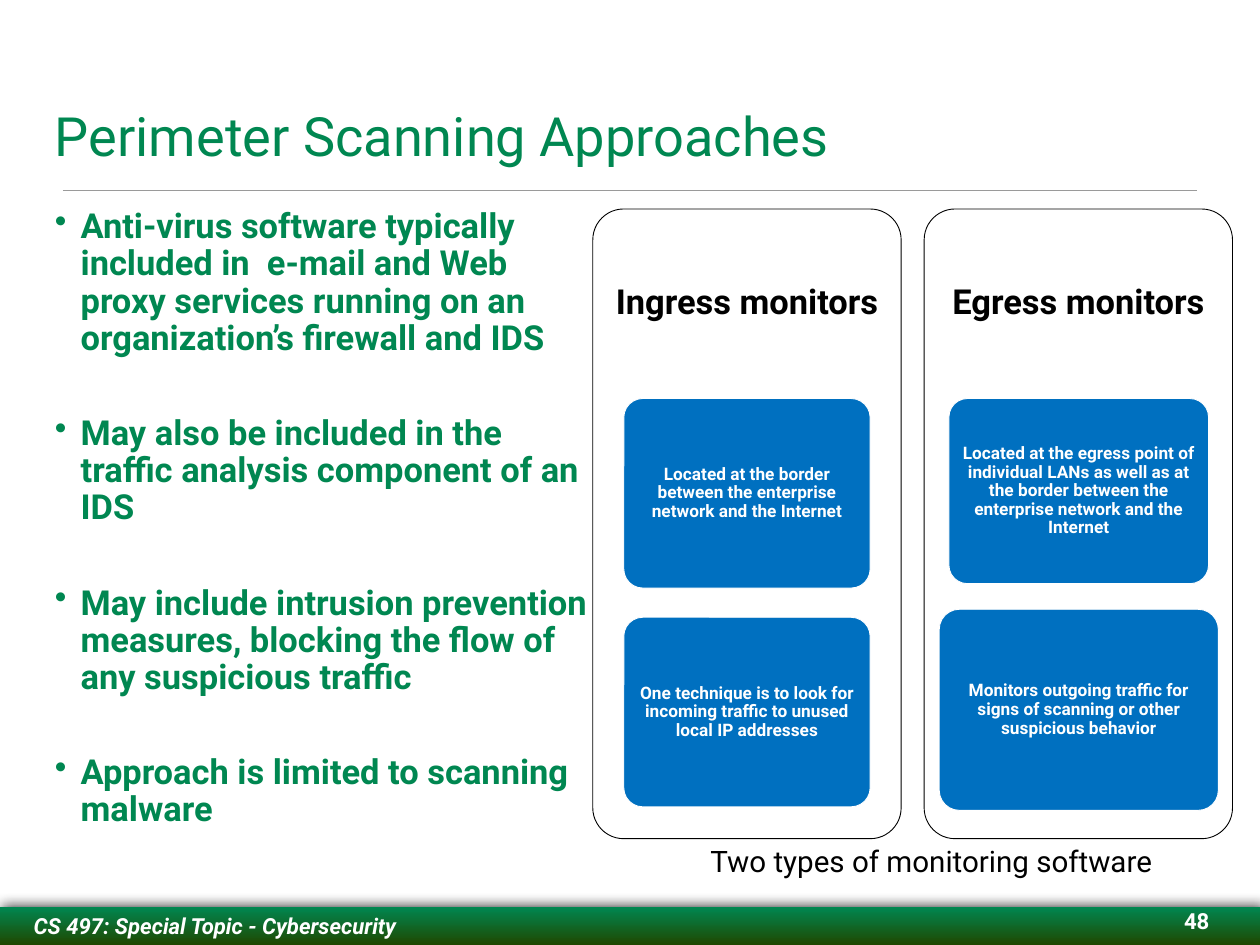
from lxml.etree import SubElement
from pptx import Presentation
from pptx.dml.color import RGBColor
from pptx.enum.shapes import MSO_CONNECTOR, MSO_SHAPE
from pptx.enum.text import MSO_ANCHOR, PP_ALIGN
from pptx.oxml.ns import qn
from pptx.util import Pt

EMU_PER_PX = 9144

BULLETS = [
    "Anti-virus software typically included in  e-mail and Web proxy services "
    "running on an organization’s firewall and IDS",
    "May also be included in the traffic analysis component of an IDS",
    "May include intrusion prevention measures, blocking the flow of any suspicious traffic",
    "Approach is limited to scanning malware",
]

MONITORS = [
    (669, "Ingress monitors", [
        ((704, 450, 278, 214),
         "Located at the border between the enterprise network and the Internet"),
        ((704, 697, 278, 214),
         "One technique is to look for incoming traffic to unused local IP addresses"),
    ]),
    (1043, "Egress monitors", [
        ((1071, 450, 293, 209),
         "Located at the egress point of individual LANs as well as at the border "
         "between the enterprise network and the Internet"),
        ((1060, 688, 315, 227),
         "Monitors outgoing traffic for signs of scanning or other suspicious behavior"),
    ]),
]


def px(length):
    return length * EMU_PER_PX


def color(hex_string):
    return RGBColor.from_string(hex_string)


class SlideBuilder:
    font_name = "Roboto"
    green = "008751"
    dark_green = "1F4800"
    blue = "0070C0"
    gray = "9A9A9A"
    black = "000000"
    white = "FFFFFF"

    def __init__(self, slide):
        self.slide = slide

    def set_text(self, shape, texts, size, text_color, bold=False, italic=False,
                 align=PP_ALIGN.LEFT, anchor=MSO_ANCHOR.TOP, margins=(0, 0, 0, 0), spacing=1.0):
        frame = shape.text_frame
        frame.word_wrap = True
        frame.vertical_anchor = anchor
        frame.margin_left, frame.margin_top, frame.margin_right, frame.margin_bottom = map(px, margins)
        frame.text = "\n".join(texts)
        for paragraph in frame.paragraphs:
            paragraph.alignment = align
            paragraph.line_spacing = spacing
            font = paragraph.font
            font.name = self.font_name
            font.size = Pt(size)
            font.bold = bold
            font.italic = italic
            font.color.rgb = color(text_color)
        return frame

    def text(self, box, texts, size, text_color, **style):
        shape = self.slide.shapes.add_textbox(*map(px, box))
        return self.set_text(shape, texts, size, text_color, **style)

    def bullets(self, box, texts, size, text_color):
        frame = self.text(box, texts, size, text_color, bold=True, spacing=0.9)
        for paragraph in frame.paragraphs:
            paragraph.space_before = Pt(30)
            paragraph.space_after = Pt(17.1)
            properties = paragraph._p.get_or_add_pPr()
            properties.set("marL", str(px(29)))
            properties.set("indent", str(px(-29)))
            bullet = properties.makeelement(qn("a:buChar"), {"char": "•"})
            properties.find(qn("a:defRPr")).addprevious(bullet)

    def rounded(self, box, line_color, fill_color=None):
        shape = self.slide.shapes.add_shape(MSO_SHAPE.ROUNDED_RECTANGLE, *map(px, box))
        shape.shadow.inherit = False
        shape.adjustments[0] = 0.1
        if fill_color:
            shape.fill.solid()
            shape.fill.fore_color.rgb = color(fill_color)
        else:
            shape.fill.background()
        shape.line.color.rgb = color(line_color)
        shape.line.width = Pt(0.75)
        return shape

    def card(self, box, text):
        shape = self.rounded(box, self.white, self.blue)
        self.set_text(shape, [text], 14, self.white, bold=True, align=PP_ALIGN.CENTER,
                      anchor=MSO_ANCHOR.MIDDLE, margins=(4, 3, 4, 3), spacing=0.9)

    def panel(self, left, heading, cards):
        self.rounded((left, 236, 348, 711), self.black)
        self.text((left, 236, 348, 213), [heading], 28, self.black, bold=True,
                  align=PP_ALIGN.CENTER, anchor=MSO_ANCHOR.MIDDLE,
                  margins=(12, 12, 12, 12), spacing=0.9)
        for box, text in cards:
            self.card(box, text)

    def rule(self, left, right, top):
        connector = self.slide.shapes.add_connector(
            MSO_CONNECTOR.STRAIGHT, px(left), px(top), px(right), px(top))
        connector.line.color.rgb = color(self.gray)
        connector.line.width = Pt(1)
        SubElement(connector._element.spPr, qn("a:effectLst"))

    def footer(self, box, text):
        shape = self.slide.shapes.add_shape(MSO_SHAPE.RECTANGLE, *map(px, box))
        shape.fill.gradient()
        shape.fill.gradient_angle = 270
        stops = zip(shape.fill.gradient_stops, (0, 1), (self.green, self.dark_green))
        for stop, position, stop_color in stops:
            stop.position = position
            stop.color.rgb = color(stop_color)
        shape.line.fill.background()
        shape.shadow.inherit = False
        effects = shape._element.spPr.find(qn("a:effectLst"))
        shadow = SubElement(effects, qn("a:outerShdw"), {
            "blurRad": str(Pt(10)), "dist": str(Pt(2)), "dir": "18900000", "rotWithShape": "0"})
        shadow_color = SubElement(shadow, qn("a:srgbClr"), {"val": self.black})
        SubElement(shadow_color, qn("a:alpha"), {"val": "75000"})
        self.set_text(shape, [text], 18, self.white, bold=True, italic=True,
                      anchor=MSO_ANCHOR.MIDDLE, margins=(38, 0, 0, 0))


def main():
    presentation = Presentation()
    presentation.slide_width = px(1422)
    presentation.slide_height = px(1067)
    builder = SlideBuilder(presentation.slides.add_slide(presentation.slide_layouts[6]))

    builder.rule(71, 1351, 215)
    builder.footer((0, 1024, 1422, 43), "CS 497: Special Topic - Cybersecurity")
    builder.text((62, 36, 1297, 153), ["Perimeter Scanning Approaches"], 44, builder.green,
                 anchor=MSO_ANCHOR.BOTTOM)
    builder.bullets((62, 236, 612, 805), BULLETS, 28, builder.green)
    for left, heading, cards in MONITORS:
        builder.panel(left, heading, cards)
    builder.text((766, 947, 570, 50), ["Two types of monitoring software"], 24, builder.black,
                 align=PP_ALIGN.CENTER, margins=(10, 5, 10, 5))
    builder.text((1325, 1024, 40, 42), ["48"], 18, builder.white, bold=True,
                 align=PP_ALIGN.RIGHT)

    presentation.save("out.pptx")


if __name__ == "__main__":
    main()
